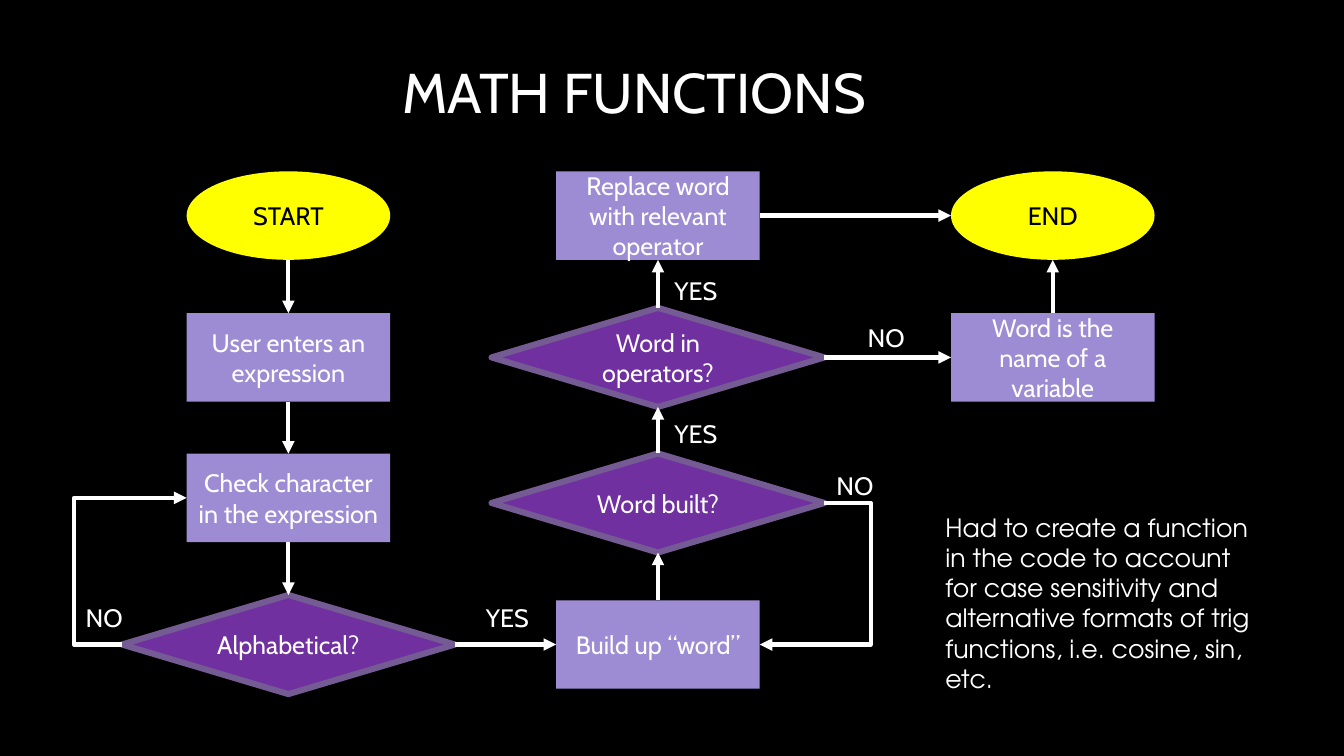
from dataclasses import dataclass
from typing import Optional

from lxml.etree import SubElement
from pptx import Presentation
from pptx.dml.color import RGBColor
from pptx.enum.shapes import MSO_CONNECTOR, MSO_SHAPE
from pptx.enum.text import MSO_ANCHOR, MSO_AUTO_SIZE, PP_ALIGN
from pptx.oxml.ns import qn
from pptx.slide import Slide
from pptx.text.text import TextFrame
from pptx.util import Pt

WHITE, BLACK = "FFFFFF", "000000"
LEFT_COLUMN, MIDDLE_COLUMN, RIGHT_COLUMN = 206, 470, 752
FIRST_ROW, SECOND_ROW, LAST_ROW = 154, 255.3, 460.4


@dataclass(frozen=True)
class Style:
    preset: MSO_SHAPE
    width: float
    height: float
    fill: str
    ink: str = WHITE
    outline: Optional[str] = None


TERMINAL = Style(MSO_SHAPE.OVAL, 145.4, 63.2, "FFFF00", BLACK)
PROCESS = Style(MSO_SHAPE.RECTANGLE, 145.4, 63.2, "9D8CD3")
DECISION = Style(MSO_SHAPE.DIAMOND, 237.8, 70.8, "7030A0", WHITE, "755B93")


@dataclass(frozen=True)
class Node:
    text: str
    style: Style
    x: float
    y: float

    def side(self, name: str) -> tuple[float, float]:
        across, down = {"top": (0, -1), "bottom": (0, 1), "left": (-1, 0), "right": (1, 0)}[name]
        return self.x + across * self.style.width / 2, self.y + down * self.style.height / 2


@dataclass(frozen=True)
class Arrow:
    start: str
    start_side: str
    end: str
    end_side: str
    detour_x: Optional[float] = None


@dataclass(frozen=True)
class Label:
    text: str
    left: float
    top: float
    width: float = 51
    height: float = 29
    font: str = "Cabin"
    size: float = 18
    align: PP_ALIGN = PP_ALIGN.LEFT


NODES = {
    "start": Node("START", TERMINAL, LEFT_COLUMN, FIRST_ROW),
    "enter": Node("User enters an expression", PROCESS, LEFT_COLUMN, SECOND_ROW),
    "check": Node("Check character in the expression", PROCESS, LEFT_COLUMN, 355.7),
    "alphabetical": Node("Alphabetical?", DECISION, LEFT_COLUMN, LAST_ROW),
    "build": Node("Build up “word”", PROCESS, MIDDLE_COLUMN, LAST_ROW),
    "built": Node("Word built?", DECISION, MIDDLE_COLUMN, 359.3),
    "operators": Node("Word in operators?", DECISION, MIDDLE_COLUMN, SECOND_ROW),
    "replace": Node("Replace word with relevant operator", PROCESS, MIDDLE_COLUMN, FIRST_ROW),
    "variable": Node("Word is the name of a variable", PROCESS, RIGHT_COLUMN, SECOND_ROW),
    "end": Node("END", TERMINAL, RIGHT_COLUMN, FIRST_ROW),
}

ARROWS = [
    Arrow("start", "bottom", "enter", "top"),
    Arrow("enter", "bottom", "check", "top"),
    Arrow("check", "bottom", "alphabetical", "top"),
    Arrow("alphabetical", "left", "check", "left", 52.8),
    Arrow("alphabetical", "right", "build", "left"),
    Arrow("build", "top", "built", "bottom"),
    Arrow("built", "right", "build", "right", 622),
    Arrow("built", "top", "operators", "bottom"),
    Arrow("operators", "top", "replace", "bottom"),
    Arrow("operators", "right", "variable", "left"),
    Arrow("replace", "right", "end", "left"),
    Arrow("variable", "top", "end", "bottom"),
]

LABELS = [
    Label("MATH FUNCTIONS", 54, 8, 798, 114.5, size=40, align=PP_ALIGN.CENTER),
    Label("YES", 340, 426.3),
    Label("NO", 54, 426.3),
    Label("YES", 474.6, 295),
    Label("YES", 474.6, 193),
    Label("NO", 590.4, 332),
    Label("NO", 612.7, 226.8),
    Label(
        "Had to create a function in the code to account for case sensitivity and "
        "alternative formats of trig functions, i.e. cosine, sin, etc.",
        668.2, 361.4, 237.6, 138.2, font="TeX Gyre Adventor",
    ),
]


def color(value: str) -> RGBColor:
    return RGBColor.from_string(value)


def write(frame: TextFrame, text: str, ink: str, font: str, size: float, align: PP_ALIGN) -> None:
    frame.word_wrap = True
    frame.vertical_anchor = MSO_ANCHOR.MIDDLE
    para = frame.paragraphs[0]
    para.text = text
    para.alignment = align
    para.font.name = font
    para.font.size = Pt(size)
    para.font.color.rgb = color(ink)


def draw_node(page: Slide, node: Node) -> None:
    style = node.style
    shape = page.shapes.add_shape(
        style.preset,
        Pt(node.x - style.width / 2), Pt(node.y - style.height / 2),
        Pt(style.width), Pt(style.height),
    )
    shape.shadow.inherit = False
    shape.fill.solid()
    shape.fill.fore_color.rgb = color(style.fill)
    if style.outline:
        shape.line.color.rgb = color(style.outline)
        shape.line.width = Pt(4.33)
    else:
        shape.line.fill.background()
    write(shape.text_frame, node.text, style.ink, "Cabin", 18, PP_ALIGN.CENTER)


def draw_arrow(page: Slide, arrow: Arrow) -> None:
    start_x, start_y = NODES[arrow.start].side(arrow.start_side)
    end_x, end_y = NODES[arrow.end].side(arrow.end_side)
    kind = MSO_CONNECTOR.STRAIGHT if arrow.detour_x is None else MSO_CONNECTOR.ELBOW
    connector = page.shapes.add_connector(kind, Pt(start_x), Pt(start_y), Pt(end_x), Pt(end_y))
    connector.line.color.rgb = color(WHITE)
    connector.line.width = Pt(3)
    SubElement(connector.line._get_or_add_ln(), qn("a:tailEnd"), type="triangle")
    properties = connector._element.spPr
    SubElement(properties, qn("a:effectLst"))
    if arrow.detour_x is not None:
        bend = round((arrow.detour_x - start_x) / (end_x - start_x) * 100000)
        guides = properties.find(".//" + qn("a:avLst"))
        SubElement(guides, qn("a:gd"), name="adj1", fmla=f"val {bend}")


def draw_label(page: Slide, label: Label) -> None:
    box = page.shapes.add_textbox(Pt(label.left), Pt(label.top), Pt(label.width), Pt(label.height))
    write(box.text_frame, label.text, WHITE, label.font, label.size, label.align)
    box.text_frame.auto_size = MSO_AUTO_SIZE.NONE


def main() -> None:
    deck = Presentation()
    deck.slide_width, deck.slide_height = Pt(960), Pt(540)
    page = deck.slides.add_slide(deck.slide_layouts[6])
    page.background.fill.solid()
    page.background.fill.fore_color.rgb = color(BLACK)
    for node in NODES.values():
        draw_node(page, node)
    for arrow in ARROWS:
        draw_arrow(page, arrow)
    for label in LABELS:
        draw_label(page, label)
    deck.save("out.pptx")


if __name__ == "__main__":
    main()
